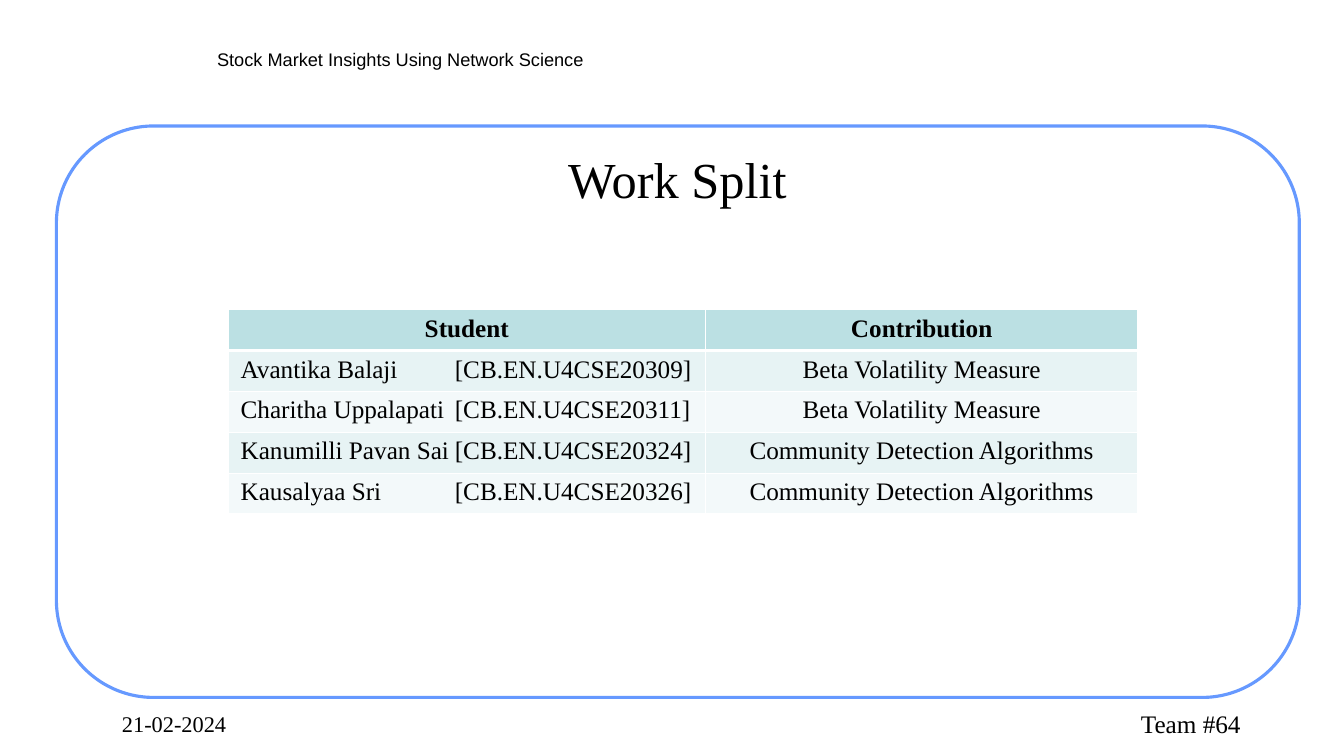
import pptx
import pptx.util
import pptx.dml.color
import pptx.enum.shapes
import pptx.enum.text
import pptx.oxml
import pptx.oxml.ns

Pt = pptx.util.Pt
ALIGN = pptx.enum.text.PP_ALIGN
ANCHOR = pptx.enum.text.MSO_ANCHOR

# Content
SERIF, SANS = "Times New Roman", "Arial"
COLORS = {"ink": "000000", "paper": "FFFFFF", "frame": "6699FF",
          "head": "BBE0E3", "odd": "E7F3F4", "even": "F3F9FA"}

# text, left, top, width, height, font, size, align, anchor
LABELS = [
    ("Stock Market Insights Using Network Science",
     29.5, 31, 512.6, 21.6, SANS, 13, ALIGN.CENTER, ANCHOR.TOP),
    ("Team #64", 811.4, 502.6, 123.1, 27.4, SERIF, 18, ALIGN.LEFT, ANCHOR.TOP),
    ("21-02-2024", 83.5, 504, 149.8, 26.6, SERIF, 16, ALIGN.LEFT, ANCHOR.TOP),
    ("Work Split", 103.7, 95.8, 760.3, 63.4, SERIF, 36, ALIGN.CENTER, ANCHOR.MIDDLE),
]
HEADS = ("Student", "Contribution")
WORK = [
    ("Avantika Balaji", "CB.EN.U4CSE20309", "Beta Volatility Measure"),
    ("Charitha Uppalapati", "CB.EN.U4CSE20311", "Beta Volatility Measure"),
    ("Kanumilli Pavan Sai", "CB.EN.U4CSE20324", "Community Detection Algorithms"),
    ("Kausalyaa Sri", "CB.EN.U4CSE20326", "Community Detection Algorithms"),
]
INSET = 3.6
FRAME = (40.3, 90, 887.8, 408.2)
GRID_LEFT, GRID_TOP, ROW_HIGH = 162.9, 221.2, 29.2
COL_WIDE = (341, 309)
NAME_INSET, ID_TAB = 9, 153


def paint(name):
    return pptx.dml.color.RGBColor.from_string(COLORS[name])


def style(par, font, size, align, bold=False):
    par.alignment = align
    for run in par.runs:
        run.font.name = font
        run.font.size = Pt(size)
        run.font.bold = bold
        run.font.color.rgb = paint("ink")


def inset(box, left=INSET):
    box.margin_left = Pt(left)
    box.margin_right = box.margin_top = box.margin_bottom = Pt(INSET)


def add_label(slide, text, left, top, wide, high, font, size, align, anchor):
    box = slide.shapes.add_textbox(Pt(left), Pt(top), Pt(wide), Pt(high))
    frame = box.text_frame
    frame.word_wrap = True
    frame.vertical_anchor = anchor
    inset(frame)
    frame.text = text
    style(frame.paragraphs[0], font, size, align)


def add_edges(cell, top, bottom):
    props = cell._tc.get_or_add_tcPr()
    for side, wide in (("L", 1), ("R", 1), ("T", top), ("B", bottom)):
        props.append(pptx.oxml.parse_xml(
            f'<a:ln{side} {pptx.oxml.ns.nsdecls("a")} w="{Pt(wide)}"><a:solidFill>'
            f'<a:srgbClr val="{COLORS["paper"]}"/></a:solidFill></a:ln{side}>'))


def add_tab(par, place):
    par._p.get_or_add_pPr().append(pptx.oxml.parse_xml(
        f'<a:tabLst {pptx.oxml.ns.nsdecls("a")}>'
        f'<a:tab pos="{Pt(place)}" algn="l"/></a:tabLst>'))


def add_grid(slide):
    rows = [HEADS] + [(f"{name}\t[{roll}]", task) for name, roll, task in WORK]
    grid = slide.shapes.add_table(
        len(rows), len(HEADS), Pt(GRID_LEFT), Pt(GRID_TOP),
        Pt(sum(COL_WIDE)), Pt(ROW_HIGH * len(rows))).table
    for col, wide in zip(grid.columns, COL_WIDE):
        col.width = Pt(wide)
    for r, row in enumerate(rows):
        grid.rows[r].height = Pt(ROW_HIGH)
        fill = "head" if r == 0 else "odd" if r % 2 else "even"
        for c, text in enumerate(row):
            cell = grid.cell(r, c)
            # The rule under the heading row is thicker
            add_edges(cell, 3 if r == 1 else 1, 3 if r == 0 else 1)
            cell.fill.solid()
            cell.fill.fore_color.rgb = paint(fill)
            tabbed = r > 0 and c == 0
            inset(cell, NAME_INSET if tabbed else INSET)
            par = cell.text_frame.paragraphs[0]
            par.text = text
            if tabbed:
                add_tab(par, ID_TAB)
            style(par, SERIF, 18, ALIGN.LEFT if tabbed else ALIGN.CENTER, r == 0)


def main():
    deck = pptx.Presentation()
    deck.slide_width, deck.slide_height = Pt(960), Pt(540)
    slide = deck.slides.add_slide(deck.slide_layouts[6])

    # Rounded frame
    frame = slide.shapes.add_shape(
        pptx.enum.shapes.MSO_SHAPE.ROUNDED_RECTANGLE, *map(Pt, FRAME))
    frame.adjustments[0] = 0.17
    frame.shadow.inherit = False
    frame.fill.solid()
    frame.fill.fore_color.rgb = paint("paper")
    frame.line.color.rgb = paint("frame")
    frame.line.width = Pt(2.25)

    # Title, header and footer
    for label in LABELS:
        add_label(slide, *label)

    # Work table
    add_grid(slide)
    deck.save("out.pptx")


if __name__ == "__main__":
    main()
